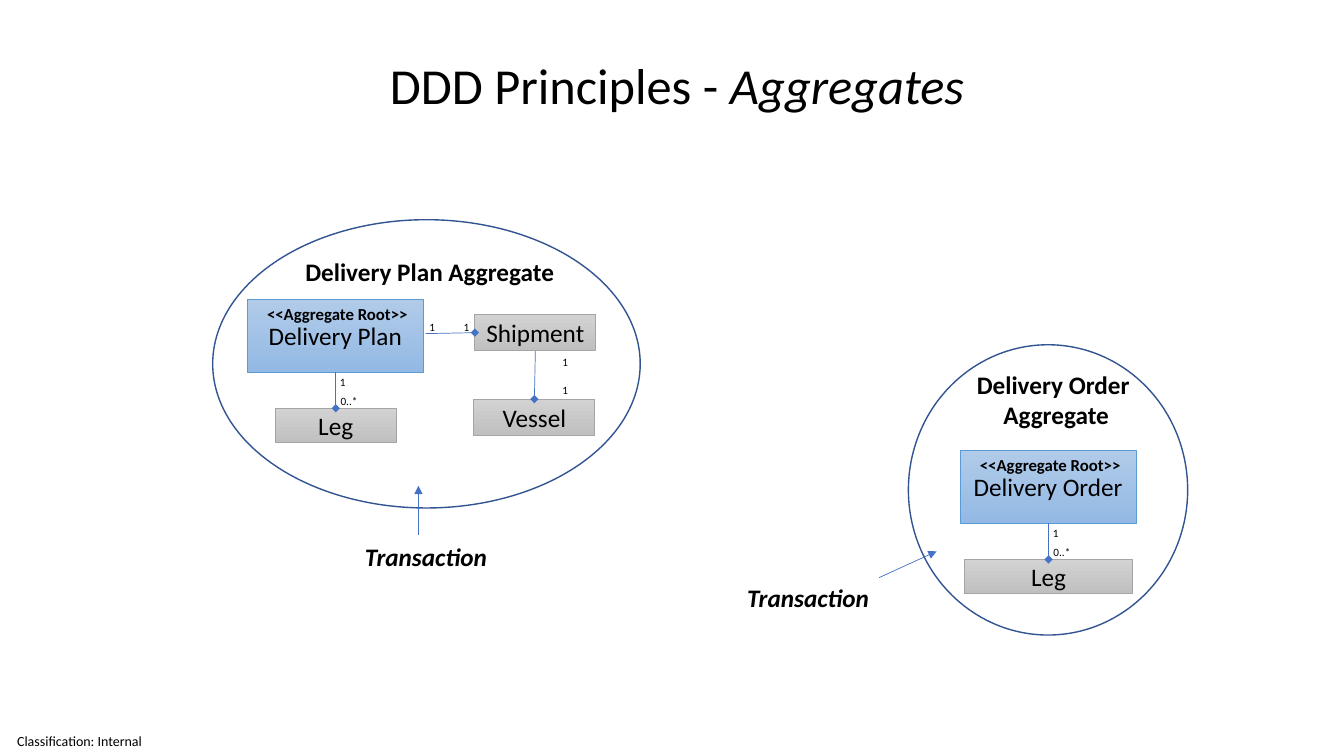
import pptx
import pptx.dml.color
import pptx.enum.shapes
import pptx.enum.text
import pptx.oxml
import pptx.oxml.ns
import pptx.util
from pptx.util import Inches

RGBColor = pptx.dml.color.RGBColor
Anchor = pptx.enum.text.MSO_ANCHOR
Align = pptx.enum.text.PP_ALIGN
Shape = pptx.enum.shapes.MSO_SHAPE

FONT = "Calibri"
BLACK = RGBColor(0x00, 0x00, 0x00)
ROOT_LIGHT = RGBColor(0xB1, 0xCB, 0xE9)
ROOT_DARK = RGBColor(0x93, 0xB9, 0xE4)
ROOT_BORDER = RGBColor(0x5B, 0x9B, 0xD5)
ENTITY_LIGHT = RGBColor(0xD2, 0xD2, 0xD2)
ENTITY_DARK = RGBColor(0xC0, 0xC0, 0xC0)
ENTITY_BORDER = RGBColor(0xA5, 0xA5, 0xA5)
LINK = RGBColor(0x44, 0x72, 0xC4)
BOUNDARY = RGBColor(0x32, 0x54, 0x91)

ROOT_COLORS = (ROOT_LIGHT, ROOT_DARK, ROOT_BORDER)
ENTITY_COLORS = (ENTITY_LIGHT, ENTITY_DARK, ENTITY_BORDER)


def format_text(text_frame, size, bold=False, italic=False, align=Align.LEFT):
    for paragraph in text_frame.paragraphs:
        paragraph.alignment = align
        for run in paragraph.runs:
            run.font.name = FONT
            run.font.size = pptx.util.Pt(size)
            run.font.bold = bold
            run.font.italic = italic
            run.font.color.rgb = BLACK


def add_text(slide, text, left, top, width, height, size, wrap=False, **style):
    box = slide.shapes.add_textbox(Inches(left), Inches(top), Inches(width), Inches(height))
    box.text_frame.word_wrap = wrap
    box.text_frame.text = text
    format_text(box.text_frame, size, **style)
    return box.text_frame


def add_box(slide, text, left, top, width, height, colors):
    """Add a class box; colors are the gradient's top and bottom and the border."""
    light, dark, border = colors
    box = slide.shapes.add_shape(
        Shape.RECTANGLE, Inches(left), Inches(top), Inches(width), Inches(height))
    box.shadow.inherit = False
    box.fill.gradient()
    box.fill.gradient_angle = 270
    for stop, color, position in zip(box.fill.gradient_stops, (light, dark), (0, 1)):
        stop.color.rgb = color
        stop.position = position
    box.line.color.rgb = border
    box.line.width = pptx.util.Pt(0.5)
    box.text_frame.text = text
    box.text_frame.vertical_anchor = Anchor.MIDDLE
    format_text(box.text_frame, 18, align=Align.CENTER)


def add_link(slide, start, end, tail):
    """Connect two points, with the given arrowhead at the end point."""
    link = slide.shapes.add_connector(
        pptx.enum.shapes.MSO_CONNECTOR.STRAIGHT,
        Inches(start[0]), Inches(start[1]), Inches(end[0]), Inches(end[1]))
    link.line.color.rgb = LINK
    link.line.width = pptx.util.Pt(0.5)
    qualified_name = pptx.oxml.ns.qn
    line = link.line._get_or_add_ln()
    arrowhead = line.makeelement(qualified_name("a:tailEnd"), {"type": tail})
    line.append(arrowhead)
    properties = line.getparent()
    properties.append(properties.makeelement(qualified_name("a:effectLst"), {}))


def add_multiplicity(slide, text, left, top, width=0.26):
    add_text(slide, text, left, top, width, 0.24, 8)


def add_root_with_leg(slide, name, left, top, leg_width):
    """Add an aggregate root and the Leg entity below it."""
    center = left + 0.88
    leg_top = top + 1.08
    add_box(slide, name, left, top, 1.75, 0.72, ROOT_COLORS)
    add_text(slide, "<<Aggregate Root>>", left + 0.1, top - 0.01, 1.61, 0.3, 12, bold=True)
    add_box(slide, "Leg", center - leg_width / 2, leg_top, leg_width, 0.34, ENTITY_COLORS)
    add_link(slide, (center, top + 0.72), (center, leg_top), "diamond")
    add_multiplicity(slide, "1", center, top + 0.7, 0.14)
    add_multiplicity(slide, "0..*", center - 0.05, top + 0.89, 0.37)


def add_boundary(slide, left, top, width, height):
    ellipse = slide.shapes.add_shape(
        Shape.OVAL, Inches(left), Inches(top), Inches(width), Inches(height))
    ellipse.shadow.inherit = False
    ellipse.fill.background()
    ellipse.line.color.rgb = BOUNDARY
    ellipse.line.width = pptx.util.Pt(1)


def add_transaction(slide, left, top, width, start, end):
    add_text(slide, "Transaction", left, top, width, 0.4, 18, wrap=True,
             bold=True, italic=True, align=Align.CENTER)
    add_link(slide, start, end, "triangle")


def add_title(slide):
    title = add_text(slide, "DDD Principles - ", 0.68, 0.56, 12.07, 0.63, 36, wrap=True)
    title.vertical_anchor = Anchor.BOTTOM
    paragraph = title.paragraphs[0]
    paragraph.line_spacing = 0.9
    paragraph.add_run().text = "Aggregates"
    format_text(title, 36, align=Align.CENTER)
    paragraph.runs[1].font.italic = True


def add_classification(slide):
    footer = add_text(slide, "Classification: Internal", 0, 7.21, 1.57, 0.29, 10, wrap=True)
    footer.vertical_anchor = Anchor.MIDDLE
    footer.margin_left = Inches(0.17)
    footer.margin_right = footer.margin_top = footer.margin_bottom = 0


def add_delivery_plan(slide):
    add_root_with_leg(slide, "Delivery Plan", 2.45, 2.97, 1.2)
    add_box(slide, "Shipment", 4.71, 3.12, 1.2, 0.36, ENTITY_COLORS)
    add_link(slide, (4.22, 3.31), (4.71, 3.3), "diamond")
    add_box(slide, "Vessel", 4.7, 3.96, 1.2, 0.36, ENTITY_COLORS)
    add_link(slide, (5.31, 3.48), (5.3, 3.96), "diamond")
    for left, top in ((4.16, 3.13), (4.5, 3.13), (5.48, 3.48), (5.48, 3.75)):
        add_multiplicity(slide, "1", left, top)
    add_boundary(slide, 2.11, 2.18, 4.24, 2.86)
    add_text(slide, "Delivery Plan Aggregate", 2.93, 2.49, 2.69, 0.4, 18, bold=True)
    add_transaction(slide, 3.09, 5.32, 2.27, (4.15, 5.31), (4.15, 4.82))


def add_delivery_order(slide):
    add_root_with_leg(slide, "Delivery Order", 9.52, 4.47, 1.67)
    add_boundary(slide, 9.01, 3.42, 2.77, 2.88)
    add_text(slide, "Delivery Order \nAggregate", 9.58, 3.61, 1.79, 0.71, 18,
             bold=True, align=Align.CENTER)
    add_transaction(slide, 6.81, 5.73, 2.41, (8.72, 5.73), (9.29, 5.47))


def main():
    presentation = pptx.Presentation()
    presentation.slide_width = Inches(13.33)
    presentation.slide_height = Inches(7.5)
    slide = presentation.slides.add_slide(presentation.slide_layouts[6])
    add_classification(slide)
    add_title(slide)
    add_delivery_plan(slide)
    add_delivery_order(slide)
    presentation.save("out.pptx")


if __name__ == "__main__":
    main()
